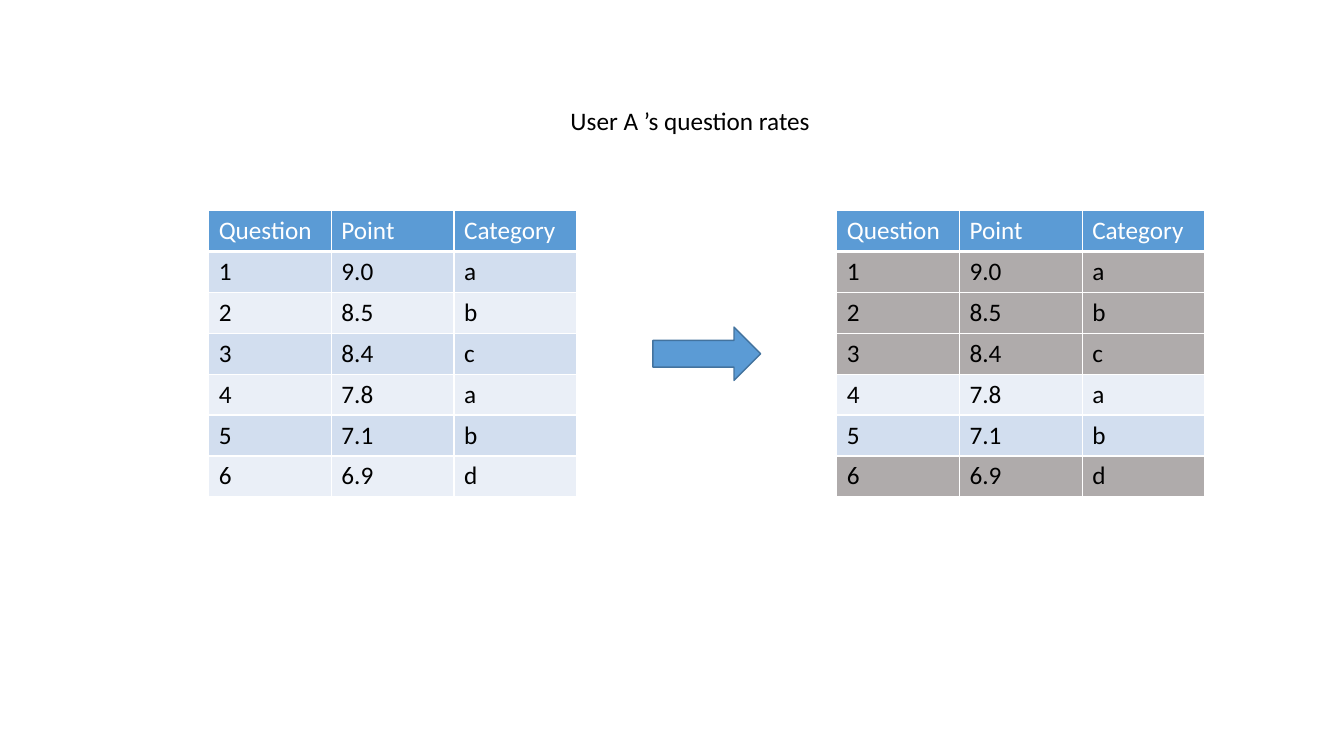
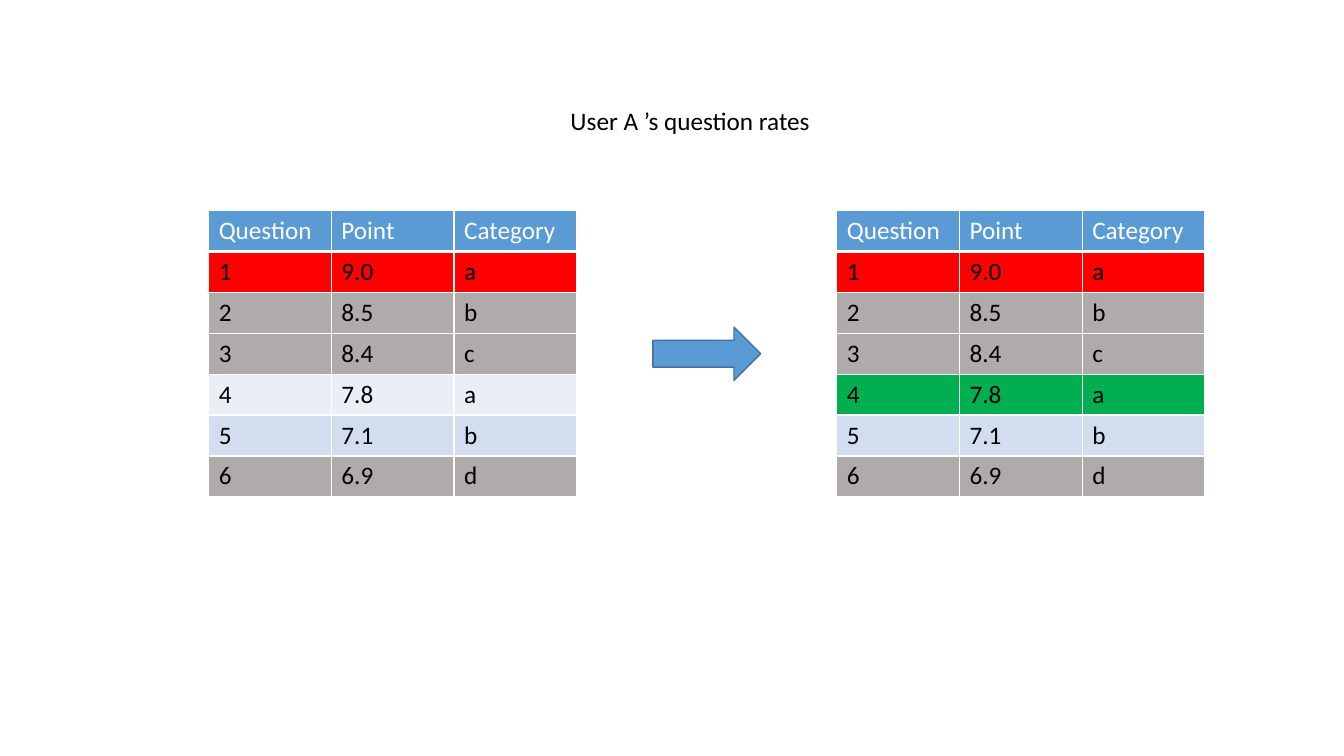
from collections import namedtuple
from dataclasses import dataclass

from lxml import etree
from pptx import Presentation
from pptx.dml.color import RGBColor
from pptx.enum.shapes import MSO_SHAPE
from pptx.enum.text import MSO_AUTO_SIZE
from pptx.oxml.ns import qn
from pptx.util import Inches, Pt

Box = namedtuple("Box", "left top width height")


@dataclass(frozen=True)
class Theme:
    font: str = "Calibri"
    size: int = 18
    text: str = "000000"
    white: str = "FFFFFF"
    accent: str = "5B9BD5"
    accent_line: str = "43739E"
    bands: tuple = ("D2DEEF", "EAEFF7")
    grey: str = "AFABAB"
    red: str = "FF0000"
    green: str = "00B050"
    rule: int = 1
    header_rule: int = 3


THEME = Theme()

TITLE = "User A ’s question rates"
TITLE_BOX = Box(5.56, 1, 3.98, 0.4)
LEFT_TABLE = Box(2.07, 2.09, 3.65, 2.84)
RIGHT_TABLE = LEFT_TABLE._replace(left=8.3)
ARROW_WIDTH, ARROW_HEIGHT = 1.07, 0.53

RATES = [
    ("Question", "Point", "Category"),
    ("1", "9.0", "a"),
    ("2", "8.5", "b"),
    ("3", "8.4", "c"),
    ("4", "7.8", "a"),
    ("5", "7.1", "b"),
    ("6", "6.9", "d"),
]

# Row colours that replace the banding, by question number
EXCLUDED = dict.fromkeys((1, 2, 3, 6), THEME.grey)
ANSWERED = {**EXCLUDED, 1: THEME.red}
RECOMMENDED = {**ANSWERED, 4: THEME.green}
SLIDES = [({}, EXCLUDED), (ANSWERED, RECOMMENDED)]


def rgb(color):
    return RGBColor.from_string(color)


def inches(box):
    return [Inches(v) for v in box]


def write(tf, text, color):
    p = tf.paragraphs[0]
    r = p.add_run()
    r.text = text
    font_format = {"name": THEME.font, "size": Pt(THEME.size), "bold": False}
    for name, value in font_format.items():
        setattr(r.font, name, value)
    r.font.color.rgb = rgb(color)


def set_borders(cell, bottom):
    """Rule a cell in white, with its own weight for the bottom edge."""
    tc_pr = cell._tc.get_or_add_tcPr()
    weights = {"lnL": THEME.rule, "lnR": THEME.rule, "lnT": THEME.rule, "lnB": bottom}
    for i, (edge, weight) in enumerate(weights.items()):
        ln = etree.Element(qn(f"a:{edge}"), w=str(Pt(weight)))
        fill = etree.SubElement(ln, qn("a:solidFill"))
        etree.SubElement(fill, qn("a:srgbClr"), val=THEME.white)
        tc_pr.insert(i, ln)


def add_rates_table(s, box, highlights):
    n_rows, n_cols = len(RATES), len(RATES[0])
    table = s.shapes.add_table(n_rows, n_cols, *inches(box)).table
    for col in table.columns:
        col.width = Inches(box.width / n_cols)
    for row in table.rows:
        row.height = Inches(box.height / n_rows)
    for i, values in enumerate(RATES):
        header = i == 0
        band = THEME.bands[(i - 1) % 2]
        color = THEME.accent if header else highlights.get(i, band)
        for j, value in enumerate(values):
            cell = table.cell(i, j)
            cell.fill.solid()
            cell.fill.fore_color.rgb = rgb(color)
            set_borders(cell, THEME.header_rule if header else THEME.rule)
            write(cell.text_frame, value, THEME.white if header else THEME.text)


def add_arrow_between(s, before, after):
    """Centre an arrow in the gap between two boxes."""
    center = (before.left + before.width + after.left) / 2
    middle = before.top + before.height / 2
    box = Box(center - ARROW_WIDTH / 2, middle - ARROW_HEIGHT / 2,
              ARROW_WIDTH, ARROW_HEIGHT)
    sp = s.shapes.add_shape(MSO_SHAPE.RIGHT_ARROW, *inches(box))
    sp.shadow.inherit = False
    sp.fill.solid()
    sp.fill.fore_color.rgb = rgb(THEME.accent)
    sp.line.color.rgb = rgb(THEME.accent_line)
    sp.line.width = Pt(THEME.rule)


def add_title(s, box):
    tf = s.shapes.add_textbox(*inches(box)).text_frame
    tf.word_wrap = True
    tf.auto_size = MSO_AUTO_SIZE.SHAPE_TO_FIT_TEXT
    write(tf, TITLE, THEME.text)


def add_rates_slide(prs, before, after):
    s = prs.slides.add_slide(prs.slide_layouts[6])
    add_rates_table(s, LEFT_TABLE, before)
    add_arrow_between(s, LEFT_TABLE, RIGHT_TABLE)
    add_rates_table(s, RIGHT_TABLE, after)
    add_title(s, TITLE_BOX)


def main():
    prs = Presentation()
    prs.slide_width, prs.slide_height = Inches(13.33), Inches(7.5)
    for before, after in SLIDES:
        add_rates_slide(prs, before, after)
    prs.save("out.pptx")


if __name__ == "__main__":
    main()
